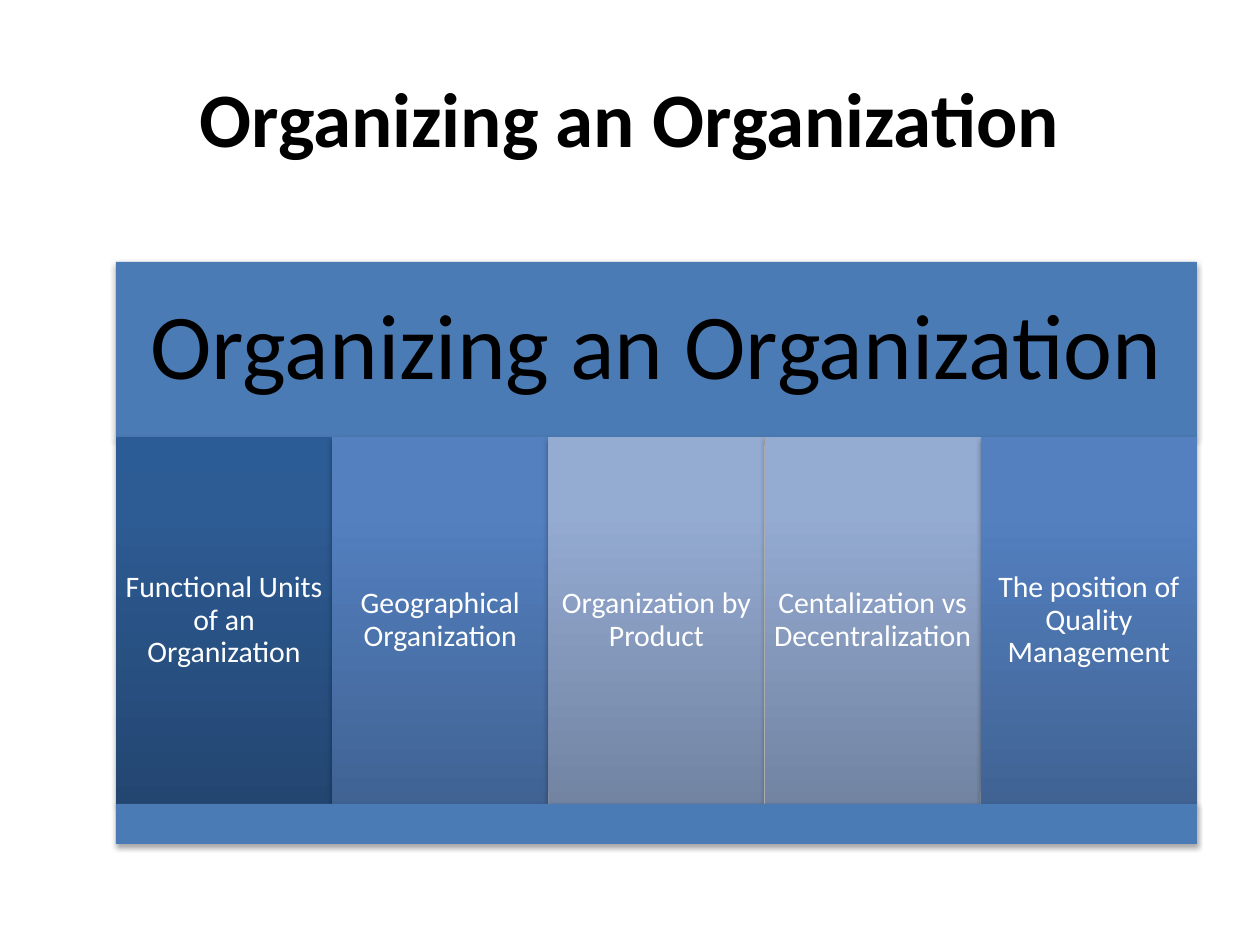
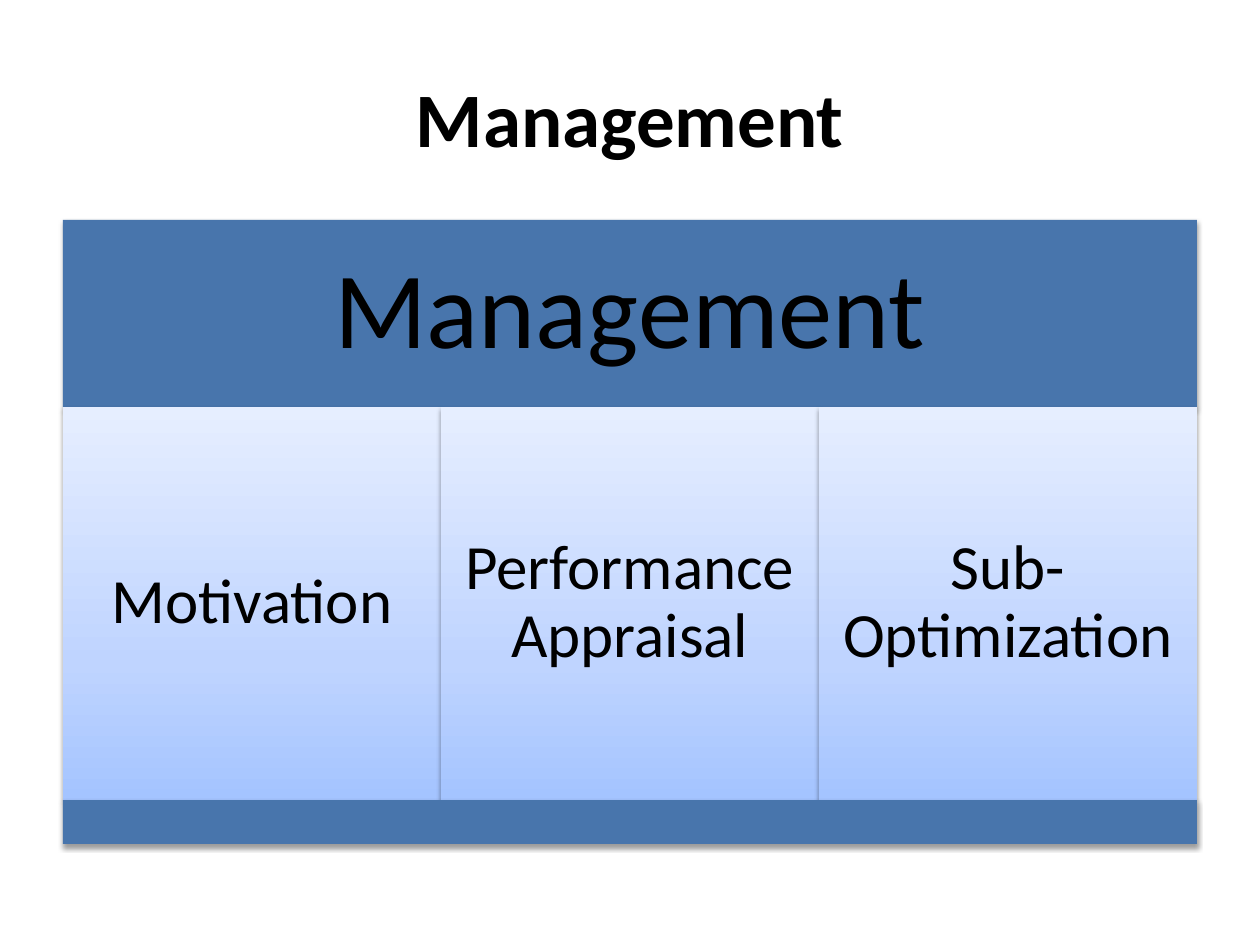
from dataclasses import dataclass
from lxml.etree import SubElement as Sub
from pptx import Presentation
from pptx.dml.color import RGBColor as Rgb
from pptx.enum.shapes import MSO_SHAPE as Preset
from pptx.enum.text import MSO_ANCHOR as Anchor, PP_ALIGN as Align
from pptx.oxml.ns import qn
from pptx.util import Emu, Pt

EMU_PER_PIXEL = 914400 / 126


@dataclass(frozen=True)
class Theme:
    font: str = "Calibri"
    dark: str = "000000"
    light: str = "FFFFFF"
    title_size: int = 44
    navy: tuple = ((0, "234671"), (80, "2D5B93"), (100, "2B5C96"))
    blue: tuple = ((0, "406394"), (80, "5480C0"), (100, "5281C3"))
    mist: tuple = ((0, "7284A2"), (80, "94ABD2"), (100, "94ACD4"))
    pale: tuple = ((0, "A4C4FF"), (35, "BFD4FF"), (100, "E6EEFF"))


@dataclass(frozen=True)
class Panel:
    heading: str
    columns: tuple
    left: int
    width: int
    rows: tuple
    band_color: str
    heading_size: int
    heading_inset: int
    column_size: int
    column_inset: int
    column_ink: str
    shadow_alpha: int
    shadow_distance: float


THEME = Theme()

PANELS = (
    Panel("Organizing an Organization",
          (("Functional Units of an Organization", THEME.navy),
           ("Geographical Organization", THEME.blue),
           ("Organization by Product", THEME.mist),
           ("Centalization vs Decentralization", THEME.mist),
           ("The position of Quality Management", THEME.blue)),
          left=116, width=1081, rows=(262, 437, 804, 844), band_color="4B7BB5",
          heading_size=53, heading_inset=28, column_size=17, column_inset=8,
          column_ink=THEME.light, shadow_alpha=35, shadow_distance=1.8),
    Panel("Management",
          (("Motivation", THEME.pale),
           ("Performance Appraisal", THEME.pale),
           ("Sub-Optimization", THEME.pale)),
          left=63, width=1134, rows=(220, 407, 800, 844), band_color="4875AC",
          heading_size=62, heading_inset=33, column_size=36, column_inset=19,
          column_ink=THEME.dark, shadow_alpha=38, shadow_distance=1.6),
)


def px(pixels):
    return Emu(round(pixels * EMU_PER_PIXEL))


def apply(target, formats):
    for name, value in formats.items():
        setattr(target, name, value)


def write(frame, words, size, ink, inset, spacing=None, bold=False):
    apply(frame, {"word_wrap": True, "vertical_anchor": Anchor.MIDDLE,
                  "margin_left": px(inset), "margin_right": px(inset),
                  "margin_top": px(inset), "margin_bottom": px(inset)})
    paragraph = frame.paragraphs[0]
    apply(paragraph, {"text": words, "alignment": Align.CENTER,
                      "line_spacing": spacing})
    font = paragraph.runs[0].font
    apply(font, {"name": THEME.font, "size": Pt(size), "bold": bold})
    font.color.rgb = Rgb.from_string(ink)


def add_title(slide, words):
    title = slide.shapes.add_textbox(px(63), px(38), px(1134), px(157))
    write(title.text_frame, words, THEME.title_size, THEME.dark, 6, bold=True)


def add_color(parent, color):
    return Sub(parent, qn("a:srgbClr"), val=color)


def fill_gradient(block, stops):
    block.fill.gradient()
    block.fill.gradient_angle = 90
    stop_list = block.element.spPr.find(qn("a:gradFill")).find(qn("a:gsLst"))
    for preset_stop in list(stop_list):
        stop_list.remove(preset_stop)
    for position, color in stops:
        add_color(Sub(stop_list, qn("a:gs"), pos=str(position * 1000)), color)


def cast_shadow(block, panel):
    block.shadow.inherit = False
    effects = block.element.spPr.find(qn("a:effectLst"))
    shadow = Sub(effects, qn("a:outerShdw"), blurRad=str(Pt(3.1)),
                 dist=str(Pt(panel.shadow_distance)), dir="5400000",
                 rotWithShape="0")
    Sub(add_color(shadow, THEME.dark), qn("a:alpha"),
        val=str(panel.shadow_alpha * 1000))


def add_block(slide, panel, left, right, top, bottom):
    block = slide.shapes.add_shape(Preset.RECTANGLE, px(left), px(top),
                                   px(right - left), px(bottom - top))
    block.line.fill.background()
    cast_shadow(block, panel)
    return block


def add_band(slide, panel, top, bottom):
    band = add_block(slide, panel, panel.left, panel.left + panel.width,
                     top, bottom)
    band.fill.solid()
    band.fill.fore_color.rgb = Rgb.from_string(panel.band_color)
    return band


def add_panel(slide, panel):
    top, columns_top, columns_bottom, bottom = panel.rows
    heading = add_band(slide, panel, top, columns_top)
    write(heading.text_frame, panel.heading, panel.heading_size, THEME.dark,
          panel.heading_inset, 0.9)
    step = panel.width / len(panel.columns)
    for index, (words, stops) in enumerate(panel.columns):
        left = panel.left + index * step
        column = add_block(slide, panel, left, left + step,
                           columns_top, columns_bottom)
        fill_gradient(column, stops)
        write(column.text_frame, words, panel.column_size, panel.column_ink,
              panel.column_inset, 0.9)
    add_band(slide, panel, columns_bottom, bottom)


def main():
    deck = Presentation()
    apply(deck, {"slide_width": px(1260), "slide_height": px(945)})
    blank = deck.slide_layouts[6]
    for panel in PANELS:
        slide = deck.slides.add_slide(blank)
        add_title(slide, panel.heading)
        add_panel(slide, panel)
    deck.save("out.pptx")


main()
